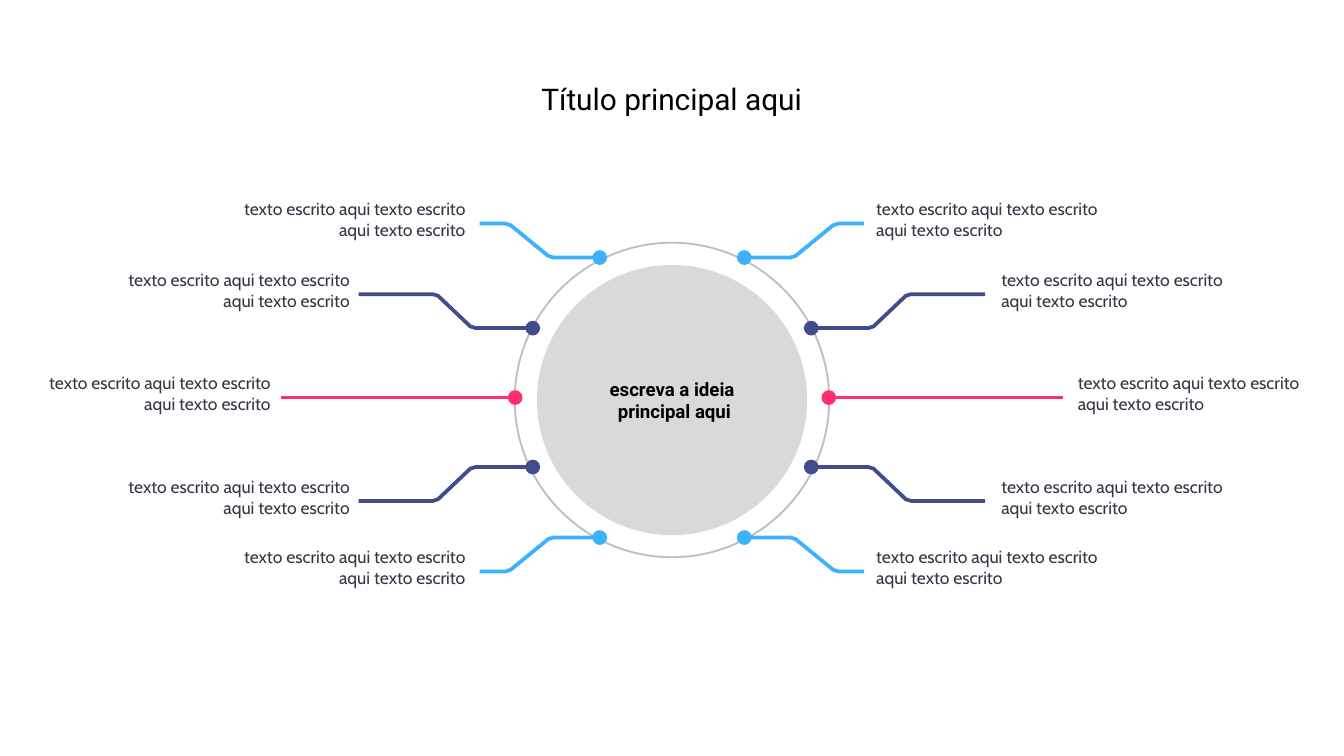
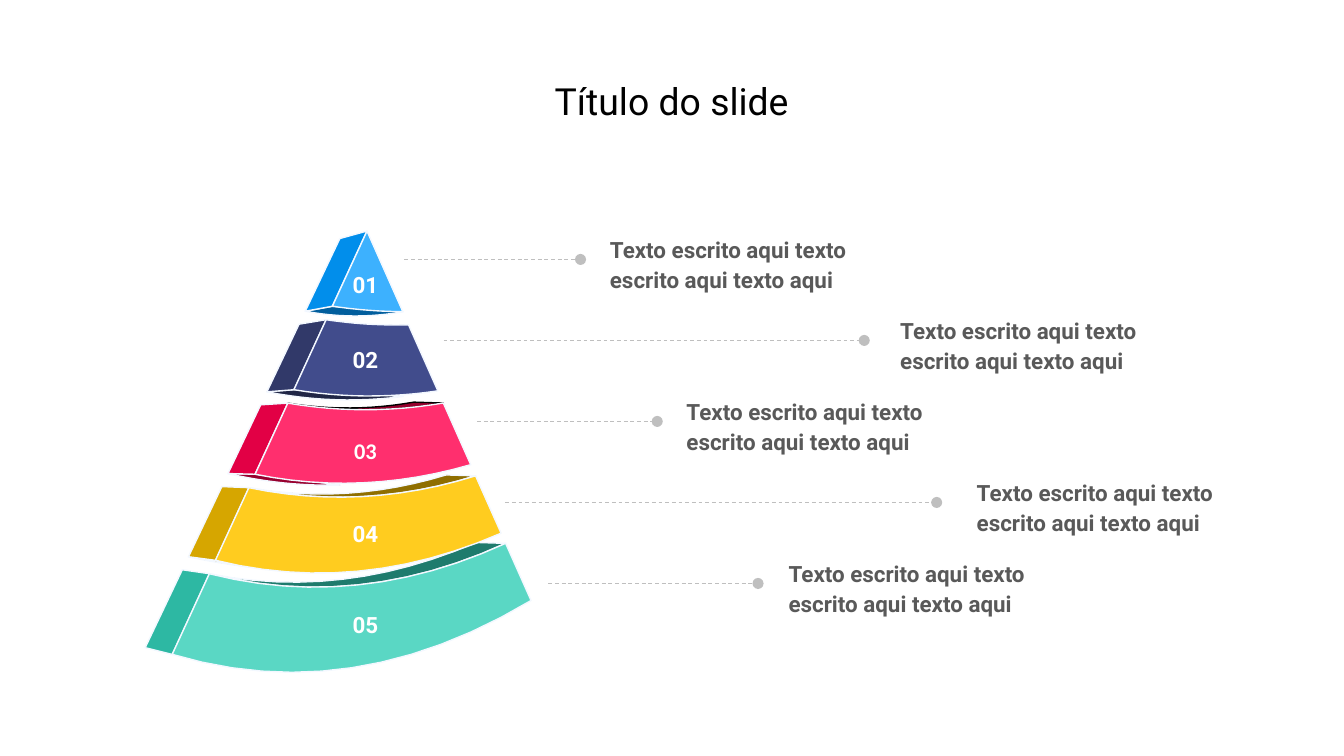
from lxml import etree
from pptx import Presentation
from pptx.dml.color import RGBColor
from pptx.enum.dml import MSO_LINE
from pptx.enum.shapes import MSO_CONNECTOR, MSO_SHAPE
from pptx.enum.text import MSO_ANCHOR as Anchor, MSO_AUTO_SIZE as AutoSize, PP_ALIGN as Align
from pptx.oxml.ns import qn
from pptx.util import Pt

COLORS = {
    "black": "000000", "white": "FFFFFF", "ink": "373545", "gray_text": "595959",
    "disc": "D9D9D9", "rule": "BFBFBF", "edge": "F3F8FF",
    "sky": "3DB1FE", "sky_side": "018EEB", "sky_dark": "015E9D",
    "navy": "414C8C", "navy_side": "313969", "navy_dark": "202646",
    "pink": "FF2F6E", "pink_side": "E20045", "pink_dark": "97002E",
    "gold": "FFCC1F", "gold_side": "D6A600", "gold_dark": "8F6E00",
    "teal": "5AD7C4", "teal_side": "2DB8A3", "teal_dark": "1E7B6D",
}
TIGHT = 1.4          # text inset of titles and branch labels
CURVE_STEPS = 12

BRANCH_TEXT = "texto escrito aqui texto escrito aqui texto escrito"
CALLOUT_TEXT = "Texto escrito aqui texto escrito aqui texto aqui"

# Distances from the hub; rise holds the heights at the dot and at the line end,
# labels the gaps to the text on the right and on the left.
BRANCHES = [
    dict(color="sky", dot=38.7, elbows=(63.4, 89.3), end=103, rise=(75, 93.2), labels=(108, 109.4)),
    dict(color="navy", dot=74.6, elbows=(105.1, 128.2), end=167.8, rise=(37.2, 55.4), labels=(175, 171.4)),
    dict(color="pink", dot=84, elbows=None, end=209.5, rise=(0, 0), labels=(216, 213.8)),
]

# Tiers from the bottom up. span: heights of the left front corners; lip: where the
# shaded underside ends and how far it bends; lid: outline of the visible top face.
TIERS = [
    dict(color="teal", span=(183.6, 226.8), lip=None, lid="edge", label=(211, 57.6)),
    dict(color="gold", span=(137.5, 176.4), lip=(61.2, 180.7, 0.8), lid="edge", label=(162, 56.2)),
    dict(color="pink", span=(92.2, 130.3), lip=(103, 136.1, 2.6), lid="black", label=(117.4, 53.3)),
    dict(color="navy", span=(47.5, 85), lip=(136.8, 88.6, 4), lid=None, label=(69.1, 41)),
    dict(color="sky", span=(0, 40.3), lip=(136.8, 43.2, 3.2), lid=None, label=(28.8, 31.7)),
]
# Line start, line end and text left
CALLOUTS = [(216.7, 311, 319.7), (237.6, 463, 475.2), (255.6, 352.1, 360.7),
            (270.7, 501.8, 516.2), (293.8, 406.1, 415.4)]


def rgb(name):
    return RGBColor.from_string(COLORS[name])


def paint(shape, fill=None, line=None, width=0.75):
    shape.shadow.inherit = False
    if fill:
        shape.fill.solid()
        shape.fill.fore_color.rgb = rgb(fill)
    else:
        shape.fill.background()
    if line:
        shape.line.color.rgb = rgb(line)
        shape.line.width = Pt(width)
    else:
        shape.line.fill.background()


def write(shape, text, size, color, font="Roboto", bold=False, align=Align.LEFT,
          anchor=Anchor.TOP, inset=None, spacing=None, fit=AutoSize.SHAPE_TO_FIT_TEXT):
    frame = shape.text_frame
    frame.text = text
    frame.word_wrap = True
    frame.auto_size = fit
    frame.vertical_anchor = anchor
    if inset is not None:
        frame.margin_left = frame.margin_right = frame.margin_top = frame.margin_bottom = Pt(inset)
    for paragraph in frame.paragraphs:
        paragraph.alignment = align
        if spacing:
            paragraph.line_spacing = spacing
        for run in paragraph.runs:
            run.font.name, run.font.size, run.font.bold = font, Pt(size), bold
            run.font.color.rgb = rgb(color)


def add_text(slide, left, top, width, height, text, size, color, **style):
    box = slide.shapes.add_textbox(Pt(left), Pt(top), Pt(width), Pt(height))
    write(box, text, size, color, **style)


def add_circle(slide, x, y, diameter, **style):
    circle = slide.shapes.add_shape(MSO_SHAPE.OVAL, Pt(x - diameter / 2), Pt(y - diameter / 2),
                                    Pt(diameter), Pt(diameter))
    paint(circle, **style)
    return circle


def add_line(slide, x1, y1, x2, y2, color, width):
    line = slide.shapes.add_connector(MSO_CONNECTOR.STRAIGHT, Pt(x1), Pt(y1), Pt(x2), Pt(y2))
    line.line.color.rgb = rgb(color)
    line.line.width = Pt(width)
    etree.SubElement(line._element.spPr, qn("a:effectLst"))
    return line


def add_outline(slide, left, top, outline, close=True, **style):
    points = [(Pt(left + x), Pt(top + y)) for x, y in outline]
    builder = slide.shapes.build_freeform(*points[0], scale=1.0)
    builder.add_line_segments(points[1:], close=close)
    paint(builder.convert_to_shape(), **style)


def arc(start, end, bend):
    """Points of a shallow curve that sags below the chord."""
    (x1, y1), (x2, y2) = start, end
    steps = [step / CURVE_STEPS for step in range(CURVE_STEPS + 1)]
    return [(x1 + (x2 - x1) * t, y1 + (y2 - y1) * t + 3 * bend * t * (1 - t)) for t in steps]


def add_title_slide(deck, title, top, height, size):
    slide = deck.slides.add_slide(deck.slide_layouts[5])
    heading = slide.shapes.title
    heading.left, heading.top, heading.width, heading.height = Pt(267.4), Pt(top), Pt(185), Pt(height)
    write(heading, title, size, "black", align=Align.CENTER, inset=TIGHT)
    return slide


def draw_branch(slide, hub_x, hub_y, branch, side, up):
    color, dot, end = branch["color"], branch["dot"], branch["end"]
    near, far = (up * rise for rise in branch["rise"])
    if branch["elbows"]:
        first, second = branch["elbows"]
        soft = up * 0.9
        outline = [(dot, near), (first, near), (first + 2.9, near + soft),
                   (second - 2.9, far - soft), (second, far), (end, far)]
        mirrored = [(side * x, y) for x, y in outline]
        add_outline(slide, hub_x, hub_y, mirrored, close=False, line=color, width=2)
    else:
        add_line(slide, hub_x + side * dot, hub_y, hub_x + side * end, hub_y, color, 2)
    add_circle(slide, hub_x + side * dot, hub_y + near, 7.9, fill=color)

    # Label beyond the end of the line
    width = 121.7
    right, left = branch["labels"]
    label_left = hub_x + right if side > 0 else hub_x - left - width
    add_text(slide, label_left, hub_y + far - 15, width, 25.9, BRANCH_TEXT, 9.4, "ink",
             font="Cabin", align=Align.LEFT if side > 0 else Align.RIGHT, inset=TIGHT)


def draw_radial_map(slide, left, top, diameter):
    center_x, center_y = left + diameter / 2, top + diameter / 2
    disc = add_circle(slide, center_x, center_y, 144.7, fill="disc")
    write(disc, "escreva a ideia\n principal aqui", 10, "black", bold=True, align=Align.CENTER,
          anchor=Anchor.MIDDLE, inset=0, fit=AutoSize.NONE)
    add_circle(slide, center_x, center_y, diameter, line="rule", width=1)
    for side in (1, -1):
        for branch in BRANCHES:
            for up in (-1, 1) if branch["elbows"] else (1,):
                draw_branch(slide, center_x, center_y - 1.3, branch, side, up)


def tier_edge(y):
    """Left, right and outer corner and the bend of a tier edge at height y."""
    apex = 117.4
    right_y = 2.1 + 1.054 * y - 0.00084 * y * y if y else 0
    left = (apex - 0.46 * y, y)
    right = (apex + 0.444 * right_y, right_y)
    outer = (left[0] - 14.5, y + 4 - 0.0335 * y)
    return left, right, outer, 0.00056 * y * y


def draw_tier(slide, left, top, tier, number):
    color = tier["color"]
    (top_left, top_right, top_outer, top_bend), (low_left, low_right, low_outer, low_bend) = (
        tier_edge(y) for y in tier["span"])
    top_arc = arc(top_left, top_right, top_bend)

    # Shaded underside and top face, partly behind the front
    if tier["lip"]:
        *tip, bend = tier["lip"]
        add_outline(slide, left, top, arc(tip, low_outer, bend) + [low_left],
                    fill=color + "_dark", line="edge")
    if tier["lid"]:
        back = (top_right[0] - 15.8, top_right[1] - 0.5)
        add_outline(slide, left, top, arc(top_left, back, 0.8 * top_bend) + top_arc[::-1],
                    fill=color + "_dark", line=tier["lid"])

    # Side, front and number
    add_outline(slide, left, top, [low_left, low_outer, top_outer, top_left],
                fill=color + "_side", line="edge")
    add_outline(slide, left, top, top_arc + arc(low_right, low_left, low_bend),
                fill=color, line="edge")
    middle, width = tier["label"]
    add_text(slide, left + 116.6 - width / 2, top + middle - 10.8, width, 21.6, f"{number:02}", 12,
             "white", font="Calibri" if color == "pink" else "Roboto", bold=True,
             align=Align.CENTER, anchor=Anchor.MIDDLE)


def draw_pyramid(slide, left, top):
    for row, tier in enumerate(TIERS):
        draw_tier(slide, left, top, tier, len(TIERS) - row)


def draw_callouts(slide, left, top, step):
    for row, (start, end, text_left) in enumerate(CALLOUTS):
        y = top + row * step
        leader = add_line(slide, left + start, y, left + end, y, "rule", 0.5)
        leader.line.dash_style = MSO_LINE.DASH
        etree.SubElement(leader.line._get_or_add_ln(), qn("a:tailEnd"), type="oval")
        add_text(slide, left + text_left, y - 17.8, 172.8, 39.6, CALLOUT_TEXT, 12, "gray_text",
                 bold=True, anchor=Anchor.MIDDLE, spacing=1.1)


def main():
    deck = Presentation()
    deck.slide_width, deck.slide_height = Pt(720), Pt(405)

    # Radial map with ten branches
    radial = add_title_slide(deck, "Título principal aqui", 41.8, 22.3, 16)
    draw_radial_map(radial, 275.75, 130.05, 168.5)

    # Five-tier pyramid with callouts
    pyramid = add_title_slide(deck, "Título do slide", 40.3, 27.4, 20)
    draw_callouts(pyramid, 0, 139, 43.4)
    draw_pyramid(pyramid, 79.2, 123.8)

    deck.save("out.pptx")


if __name__ == "__main__":
    main()
